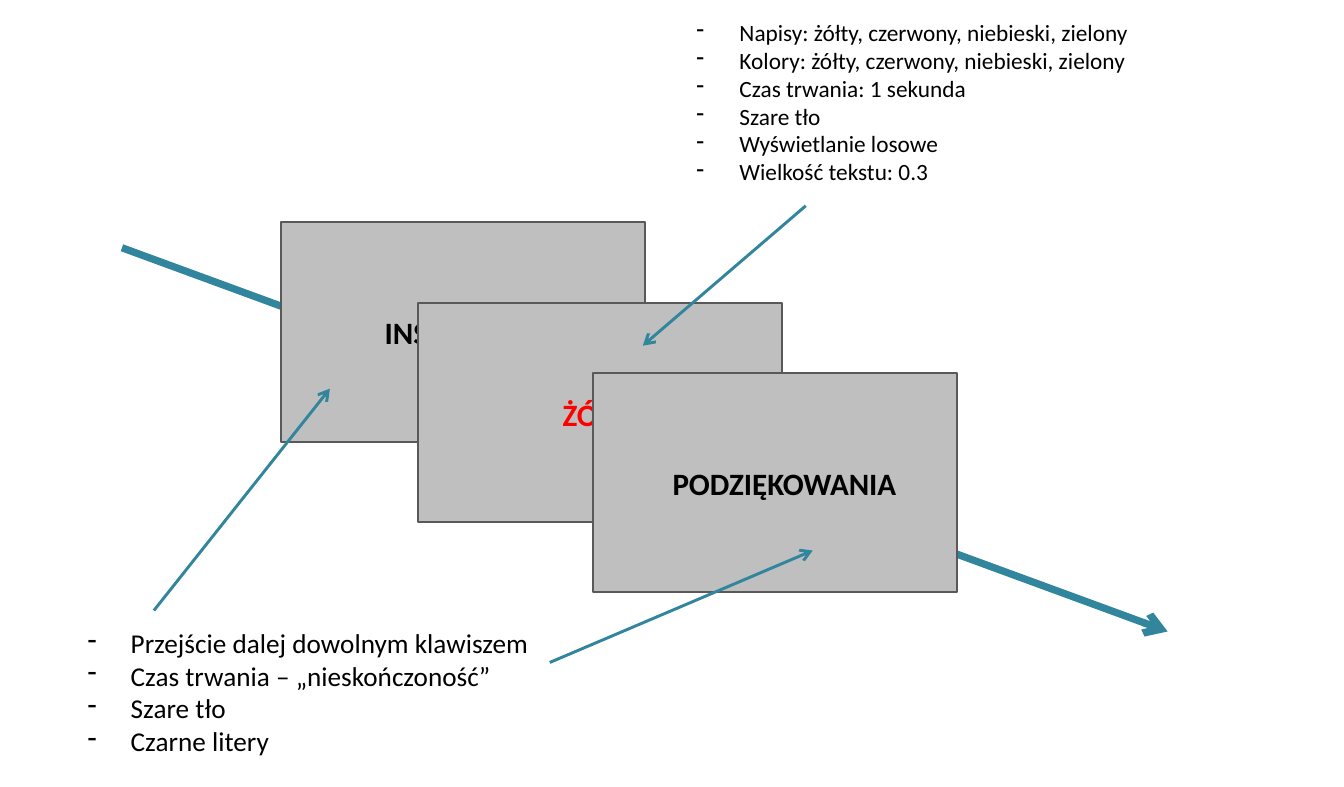
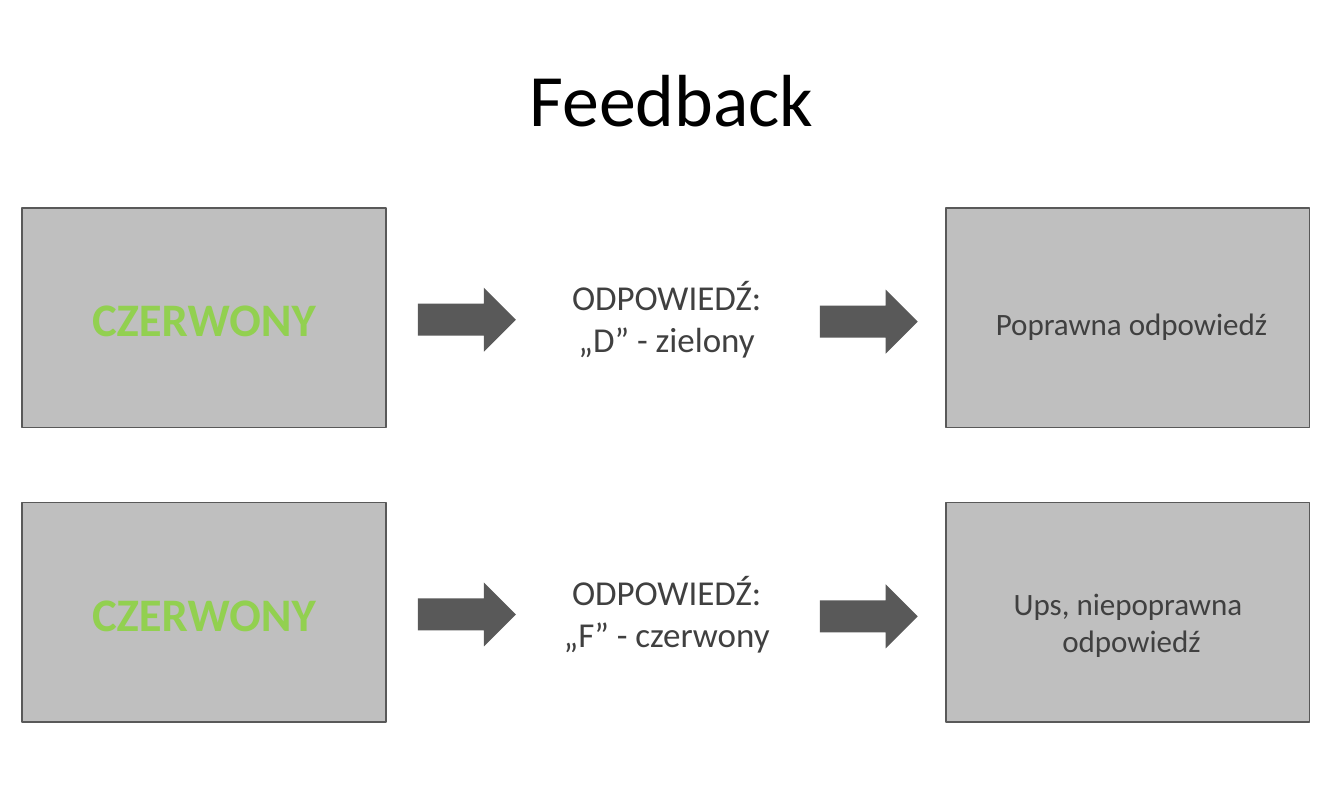
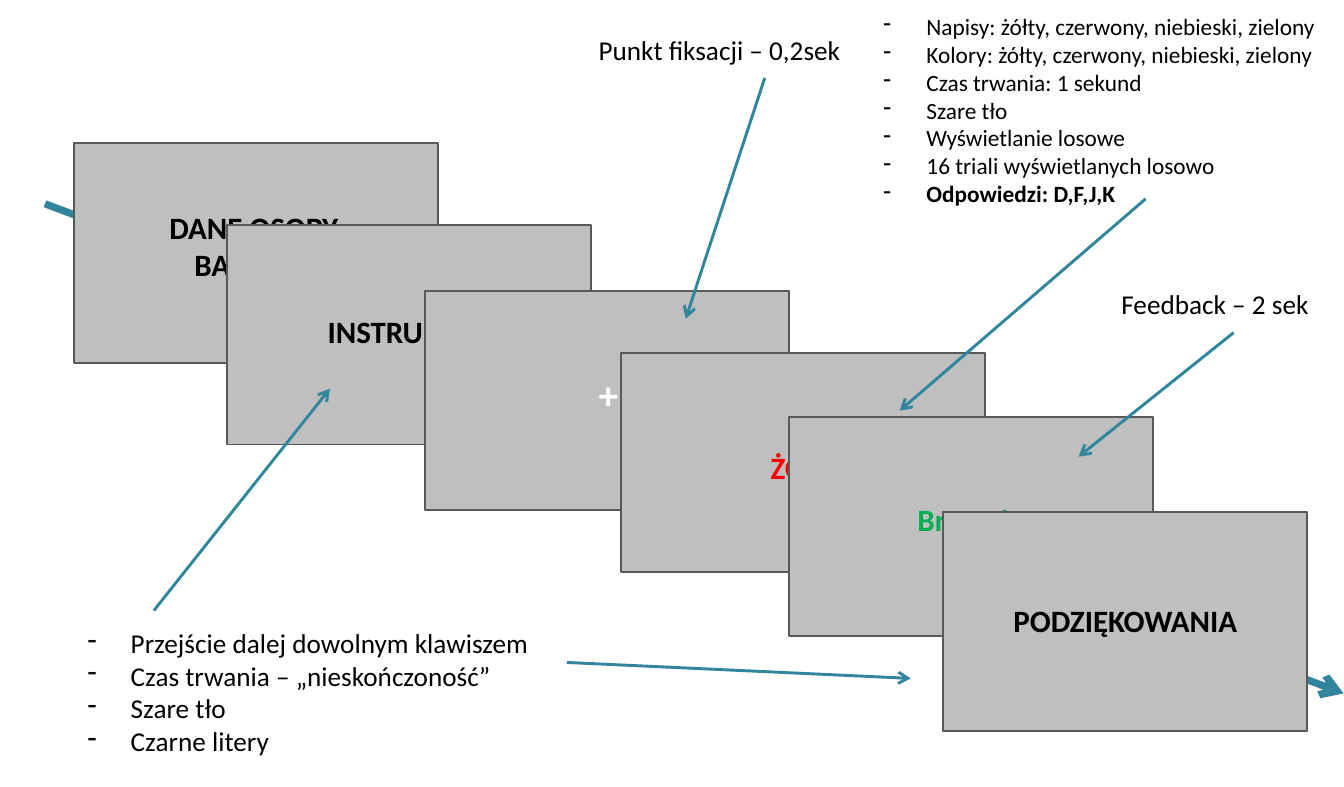
from collections import namedtuple
from dataclasses import dataclass

from lxml import etree
from pptx import Presentation
from pptx.dml.color import RGBColor
from pptx.enum.shapes import MSO_CONNECTOR, MSO_SHAPE
from pptx.enum.text import MSO_ANCHOR, MSO_AUTO_SIZE, PP_ALIGN
from pptx.oxml.ns import qn
from pptx.util import Inches, Pt

STRAIGHT = MSO_CONNECTOR.STRAIGHT
RECTANGLE, RIGHT_ARROW = MSO_SHAPE.RECTANGLE, MSO_SHAPE.RIGHT_ARROW
MIDDLE = MSO_ANCHOR.MIDDLE
GROW, FIXED = MSO_AUTO_SIZE.SHAPE_TO_FIT_TEXT, MSO_AUTO_SIZE.NONE
LEFT, CENTER = PP_ALIGN.LEFT, PP_ALIGN.CENTER

EMU_PER_PIXEL = 914400 / 139.9
PAGE_WIDTH, PAGE_HEIGHT = Inches(9.61), Inches(5.63)
CARD_WIDTH, CARD_HEIGHT = 364, 220
LIST_INDENT = 43

Box = namedtuple("Box", "left top width height")
Style = namedtuple("Style", "size color bold", defaults=(False,))
Card = namedtuple("Card", "left top lines width height style shift")


@dataclass(frozen=True)
class Theme:
    font: str = "Calibri"
    black: str = "000000"
    white: str = "FFFFFF"
    card: str = "BFBFBF"
    dark: str = "595959"
    text: str = "404040"
    teal: str = "31859C"
    red: str = "FF0000"
    green: str = "00B050"
    lime: str = "92D050"
    thin: float = 1.5
    thick: float = 3.75


THEME = Theme()
TITLE = Style(38, THEME.black)
LABEL = Style(14, THEME.black)
DETAIL = Style(12, THEME.black)
HEADING = Style(16, THEME.black, True)
COLOR_WORD = Style(16, THEME.red, True)
PRAISE = Style(16, THEME.green, True)
CROSS = Style(20, THEME.white, True)
STIMULUS = Style(24, THEME.lime, True)
ANSWER = Style(18, THEME.text)
RESULT = Style(16, THEME.text)

SCREEN_NOTES = ["Przejście dalej dowolnym klawiszem",
                "Czas trwania – „nieskończoność”", "Szare tło ", "Czarne litery"]
STIMULUS_NOTES = ["Napisy: żółty, czerwony, niebieski, zielony",
                  "Kolory: żółty, czerwony, niebieski, zielony"]


def emu(pixels):
    return round(pixels * EMU_PER_PIXEL)


def rgb(value):
    return RGBColor.from_string(value)


def add_dash(para):
    properties = para._p.get_or_add_pPr()
    properties.set("marL", str(emu(LIST_INDENT)))
    properties.set("indent", str(-emu(LIST_INDENT)))
    etree.SubElement(properties, qn("a:buChar")).set("char", "-")


def add_text(page, box, lines, style, align=LEFT, wrap=True, dashes=False):
    """Places one paragraph per line; dashes turns them into a list."""
    shape = page.shapes.add_textbox(*map(emu, box))
    frame = shape.text_frame
    frame.word_wrap = wrap
    frame.auto_size = GROW
    for index, line in enumerate(lines):
        para = frame.paragraphs[0] if index == 0 else frame.add_paragraph()
        para.text = line
        para.alignment = align
        font = para.font
        if dashes:
            add_dash(para)
            font = para.runs[0].font  # a dash takes its size from the first run
        font.name = THEME.font
        font.size = Pt(style.size)
        font.bold = style.bold
        font.color.rgb = rgb(style.color)
    return frame


def add_block(page, kind, box, fill, outline=None):
    shape = page.shapes.add_shape(kind, *map(emu, box))
    shape.shadow.inherit = False
    shape.fill.solid()
    shape.fill.fore_color.rgb = rgb(fill)
    if outline:
        shape.line.color.rgb = rgb(outline)
        shape.line.width = Pt(1)
    else:
        shape.line.fill.background()


def add_arrow(page, start, end, width=THEME.thin):
    arrow = page.shapes.add_connector(STRAIGHT, *map(emu, start + end))
    arrow.line.color.rgb = rgb(THEME.teal)
    arrow.line.width = Pt(width)
    tip = etree.SubElement(arrow.line._get_or_add_ln(), qn("a:tailEnd"))
    tip.set("type", "arrow")
    etree.SubElement(arrow._element.spPr, qn("a:effectLst"))


def add_card(page, card, align=LEFT, wrap=False):
    """A grey screen with its caption, shifted from the screen's centre."""
    screen = Box(card.left, card.top, CARD_WIDTH, CARD_HEIGHT)
    add_block(page, RECTANGLE, screen, THEME.card, THEME.dark)
    caption = Box(card.left + (CARD_WIDTH - card.width) // 2 + card.shift[0],
                  card.top + (CARD_HEIGHT - card.height) // 2 + card.shift[1],
                  card.width, card.height)
    add_text(page, caption, card.lines, card.style, align, wrap)


def build_timeline(page, axis, cards, details, details_box, arrows):
    """Overlapping screens along a time axis, with notes pointing at them."""
    add_arrow(page, *axis, THEME.thick)
    for card in cards:
        add_card(page, card, CENTER if len(card.lines) > 1 else LEFT)
    add_text(page, Box(74, 620, 527, 145), SCREEN_NOTES, LABEL, dashes=True)
    frame = add_text(page, details_box, STIMULUS_NOTES + details, DETAIL, dashes=True)
    add_arrow(page, (154, 611), (330, 389))
    for start, end in arrows:
        add_arrow(page, start, end)
    return frame


def build_feedback_row(page, top, answer, result, result_height, result_drop):
    """Stimulus, answer and feedback screen, joined by block arrows."""
    add_card(page, Card(22, top, ["CZERWONY"], 400, 70, STIMULUS, (0, 0)), CENTER, True)
    add_block(page, RIGHT_ARROW, Box(418, top + 80, 98, 64), THEME.dark)
    add_text(page, Box(452, top + 61, 430, 99), ["ODPOWIEDŹ:", answer], ANSWER, CENTER)
    add_block(page, RIGHT_ARROW, Box(820, top + 82, 98, 64), THEME.dark)
    add_card(page, Card(946, top, result, 400, result_height, RESULT, (4, result_drop)),
             CENTER, True)


def build_feedback(page):
    title = add_text(page, Box(67, 31, 1210, 132), ["Feedback"], TITLE, CENTER)
    title.auto_size = FIXED
    title.vertical_anchor = MIDDLE
    rows = [("„D” - zielony", ["Poprawna odpowiedź"], 52, 6),
            ("„F” - czerwony", ["Ups, niepoprawna ", "odpowiedź"], 90, 10)]
    for index, row in enumerate(rows):
        build_feedback_row(page, 208 + 295 * index, *row)


deck = Presentation()
deck.slide_width, deck.slide_height = PAGE_WIDTH, PAGE_HEIGHT
blank = deck.slide_layouts[6]

# Basic procedure
build_timeline(
    deck.slides.add_slide(blank),
    axis=((122, 248), (1168, 632)),
    cards=[Card(281, 222, ["INSTRUKCJE"], 185, 52, HEADING, (1, 1)),
           Card(418, 303, ["ŻÓŁTY"], 109, 52, COLOR_WORD, (4, 2)),
           Card(593, 373, ["PODZIĘKOWANIA"], 255, 52, HEADING, (12, 1))],
    details=["Czas trwania: 1 sekunda", "Szare tło ", "Wyświetlanie losowe",
             "Wielkość tekstu: 0.3"],
    details_box=Box(683, 11, 639, 183),
    arrows=[((806, 206), (643, 346)), ((550, 663), (813, 551))])

# Feedback
build_feedback(deck.slides.add_slide(blank))

# Full procedure
full_page = deck.slides.add_slide(blank)
full_details = build_timeline(
    full_page,
    axis=((45, 204), (1344, 694)),
    cards=[Card(74, 143, ["DANE OSOBY", "BADANEJ"], 200, 90, HEADING, (-2, -6)),
           Card(227, 225, ["INSTRUKCJE"], 185, 52, HEADING, (-2, -3)),
           Card(425, 291, ["+"], 48, 62, CROSS, (2, -6)),
           Card(621, 353, ["ŻÓŁTY"], 109, 52, COLOR_WORD, (9, 5)),
           Card(789, 417, ["Brawo!"], 122, 52, PRAISE, (-6, -7)),
           Card(943, 512, ["PODZIĘKOWANIA"], 255, 52, HEADING, (3, -1))],
    details=["Czas trwania: 1 sekund", "Szare tło ", "Wyświetlanie losowe",
             "16 triali wyświetlanych losowo", "Odpowiedzi: D,F,J,K"],
    details_box=Box(870, 5, 474, 211),
    arrows=[((567, 663), (911, 679)), ((765, 78), (686, 319)),
            ((1146, 199), (900, 411)), ((1234, 333), (1079, 457))])
full_details.paragraphs[-1].runs[0].font.bold = True
add_text(full_page, Box(585, 26, 418, 48), ["Punkt fiksacji – 0,2sek"], LABEL)
add_text(full_page, Box(1108, 281, 217, 48), ["Feedback – 2 sek"], LABEL, wrap=False)

deck.save("out.pptx")
